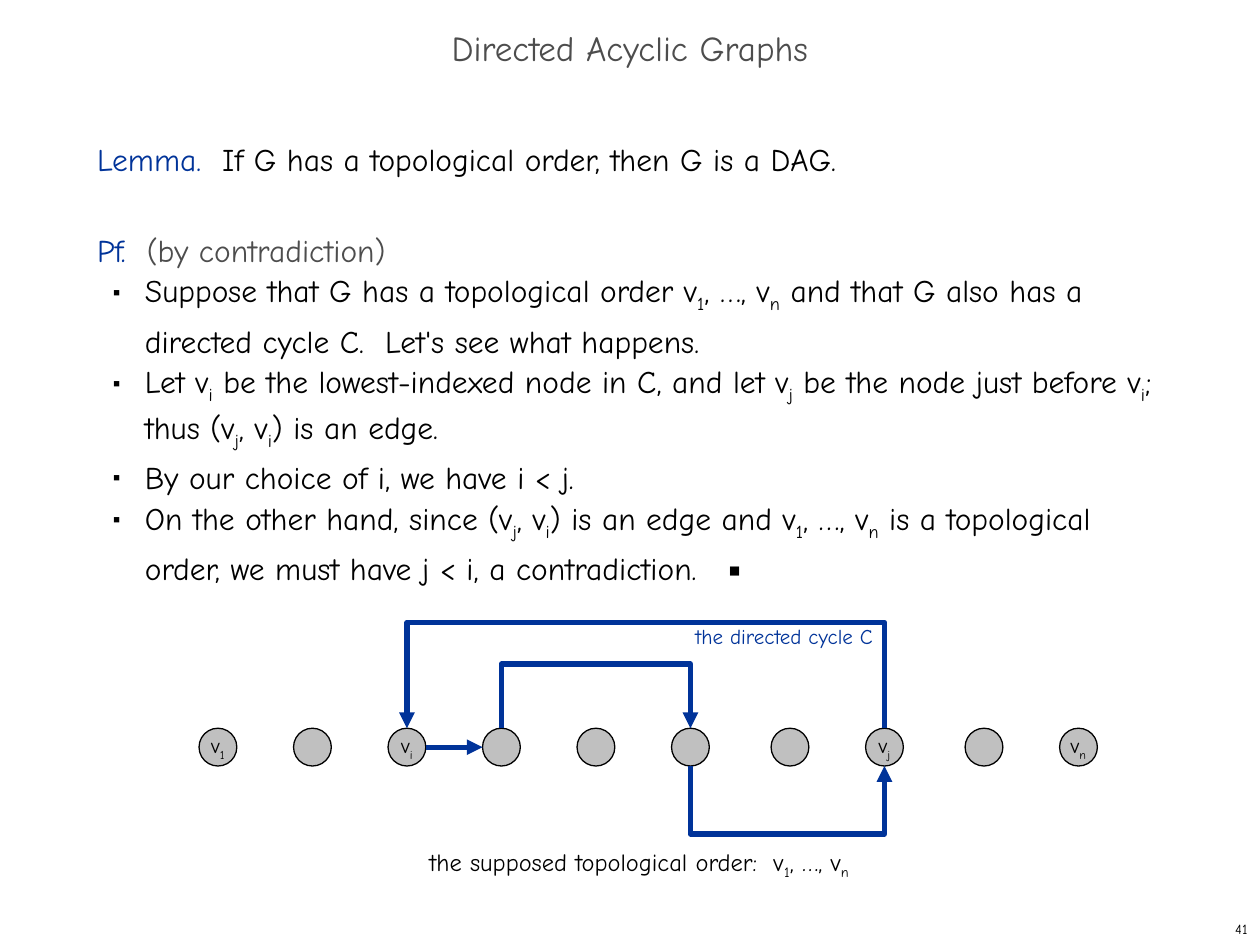
import pptx
import pptx.dml.color
import pptx.enum.shapes
import pptx.enum.text
import pptx.oxml.ns
import pptx.util
from lxml import etree
from pptx.util import Inches

COLORS = {"blue": "003399", "gray": "4D4D4D", "black": "000000", "node": "C0C0C0"}
FONT = "Comic Neue"
ALIGN = pptx.enum.text.PP_ALIGN
ANCHOR = pptx.enum.text.MSO_ANCHOR

# An underscore makes the character after it a subscript.
TITLE = "Directed Acyclic Graphs"
HEADINGS = [
    [("Lemma.  ", "blue"), ("If G has a topological order, then G is a DAG.", "black")],
    [("Pf.  ", "blue"), ("(by contradiction)", "gray")],
]
PROOF_STEPS = [
    "Suppose that G has a topological order v_1, …, v_n and that G also has a "
    "directed cycle C.  Let's see what happens.",
    "Let v_i be the lowest-indexed node in C, and let v_j be the node just before v_i; "
    "thus (v_j, v_i) is an edge.",
    "By our choice of i, we have i < j.",
    "On the other hand, since (v_j, v_i) is an edge and v_1, …, v_n is a topological "
    "order, we must have j < i, a contradiction.   ▪",
]
NODES = ["v_1", "", "v_i", "", "", "", "", "v_j", "", "v_n"]
BENT_EDGES = [  # from node, to node, height of the middle part
    (7, 2, 4.94),
    (3, 5, 5.27),
    (5, 7, 6.62),
]
LABELS = [  # text, box, format
    ("the supposed topological order:  v_1, …, v_n", (3.31, 6.67, 3.54, 0.37), {"size": 14}),
    ("the directed cycle C", (5.42, 4.9, 1.62, 0.3), {"size": 12, "color": "blue"}),
    ("41", (7.92, 7.25, 2.08, 0.25),
     {"size": 8, "align": ALIGN.RIGHT, "anchor": ANCHOR.MIDDLE, "wrap": True}),
]
NODE_SIZE, NODE_TOP, FIRST_LEFT, NODE_STEP, PAIR_GAP = 0.3, 5.78, 1.58, 0.75, 0.04


def rgb(name):
    return pptx.dml.color.RGBColor.from_string(COLORS[name])


def add_child(parent, tag, **attributes):
    return etree.SubElement(parent, pptx.oxml.ns.qn(tag), attributes)


def write(paragraph, text, size=18, color="black", align=None):
    """Add text to a paragraph, with subscripts where underscores stand."""
    if align is not None:
        paragraph.alignment = align
    first, *rest = text.split("_")
    pieces = [(first, False)]
    for part in rest:
        pieces += [(part[0], True), (part[1:], False)]
    for piece, subscript in pieces:
        if piece:
            run = paragraph.add_run()
            run.text = piece
            run.font.name = FONT
            run.font.size = pptx.util.Pt(size)
            run.font.color.rgb = rgb(color)
            if subscript:
                run.font._element.set("baseline", "-25000")


def place(shape, left, top, width, height):
    shape.left, shape.top = Inches(left), Inches(top)
    shape.width, shape.height = Inches(width), Inches(height)


def set_bullet(paragraph, character=None):
    properties = paragraph._p.get_or_add_pPr()
    properties.set("marL", str(Inches(0.38 if character else 0)))
    properties.set("indent", str(Inches(-0.25 if character else 0)))
    if character is None:
        add_child(properties, "a:buNone")
        return
    add_child(add_child(properties, "a:buClr"), "a:srgbClr", val=COLORS["black"])
    add_child(properties, "a:buSzPct", val="35000")
    add_child(properties, "a:buFont", typeface="Arial")
    add_child(properties, "a:buChar", char=character)


def style_arrow(arrow):
    arrow.line.color.rgb = rgb("blue")
    arrow.line.width = pptx.util.Pt(3)
    add_child(arrow.line._get_or_add_ln(), "a:tailEnd", type="triangle")


def add_title(slide):
    title = slide.shapes.title
    place(title, 0, 0.17, 10, 0.5)
    title.text_frame.auto_size = pptx.enum.text.MSO_AUTO_SIZE.NONE
    title.text_frame.vertical_anchor = ANCHOR.MIDDLE
    paragraph = title.text_frame.paragraphs[0]
    paragraph.line_spacing = 0.7
    write(paragraph, TITLE, size=20, color="gray", align=ALIGN.CENTER)


def add_proof(slide):
    body = slide.placeholders[1]
    place(body, 0.67, 1, 8.58, 5.92)
    frame = body.text_frame
    frame.auto_size = pptx.enum.text.MSO_AUTO_SIZE.NONE
    steps = [[(step, "black")] for step in PROOF_STEPS]
    for index, parts in enumerate(HEADINGS + steps):
        paragraph = frame.paragraphs[0] if index == 0 else frame.add_paragraph()
        is_step = index >= len(HEADINGS)
        paragraph.level = int(is_step)
        set_bullet(paragraph, "■" if is_step else None)
        paragraph.line_spacing = pptx.util.Pt(26)
        paragraph.space_before = pptx.util.Pt(26 if index == 1 else 0)
        for text, color in parts:
            write(paragraph, text, color=color, align=ALIGN.LEFT)


def node_left(index):
    """Nodes are evenly spaced, with a little extra before each of the last two pairs."""
    return FIRST_LEFT + index * NODE_STEP + PAIR_GAP * max(0, index // 2 - 2)


def add_node(slide, index, label):
    node = slide.shapes.add_shape(
        pptx.enum.shapes.MSO_SHAPE.OVAL, Inches(node_left(index)), Inches(NODE_TOP),
        Inches(NODE_SIZE), Inches(NODE_SIZE))
    node.shadow.inherit = False
    node.fill.solid()
    node.fill.fore_color.rgb = rgb("node")
    node.line.color.rgb = rgb("black")
    node.line.width = pptx.util.Pt(0.75)
    if label:
        node.text_frame.word_wrap = False
        node.text_frame.vertical_anchor = ANCHOR.MIDDLE
        write(node.text_frame.paragraphs[0], label, size=12, align=ALIGN.CENTER)


def add_straight_edge(slide, start, end):
    middle = Inches(NODE_TOP + NODE_SIZE / 2)
    edge = slide.shapes.add_connector(
        pptx.enum.shapes.MSO_CONNECTOR.STRAIGHT,
        Inches(node_left(start) + NODE_SIZE), middle, Inches(node_left(end)), middle)
    style_arrow(edge)
    add_child(edge._element.spPr, "a:effectLst")


def add_bent_edge(slide, start, end, height):
    start_x, end_x = (Inches(node_left(node) + NODE_SIZE / 2) for node in (start, end))
    node_y = Inches(NODE_TOP if height < NODE_TOP else NODE_TOP + NODE_SIZE)
    builder = slide.shapes.build_freeform(start_x, node_y)
    builder.add_line_segments(
        [(start_x, Inches(height)), (end_x, Inches(height)), (end_x, node_y)], close=False)
    edge = builder.convert_to_shape()
    edge.shadow.inherit = False
    edge.fill.background()
    style_arrow(edge)


def add_label(slide, text, box, anchor=ANCHOR.TOP, wrap=False, **text_format):
    label = slide.shapes.add_textbox(*map(Inches, box))
    label.text_frame.word_wrap = wrap
    label.text_frame.vertical_anchor = anchor
    write(label.text_frame.paragraphs[0], text, **text_format)


def main():
    presentation = pptx.Presentation()
    presentation.slide_width, presentation.slide_height = Inches(10), Inches(7.5)
    slide = presentation.slides.add_slide(presentation.slide_layouts[1])
    add_title(slide)
    add_proof(slide)
    for index, label in enumerate(NODES):
        add_node(slide, index, label)
    add_straight_edge(slide, 2, 3)
    for edge in BENT_EDGES:
        add_bent_edge(slide, *edge)
    for text, box, label_format in LABELS:
        add_label(slide, text, box, **label_format)
    presentation.save("out.pptx")


if __name__ == "__main__":
    main()
